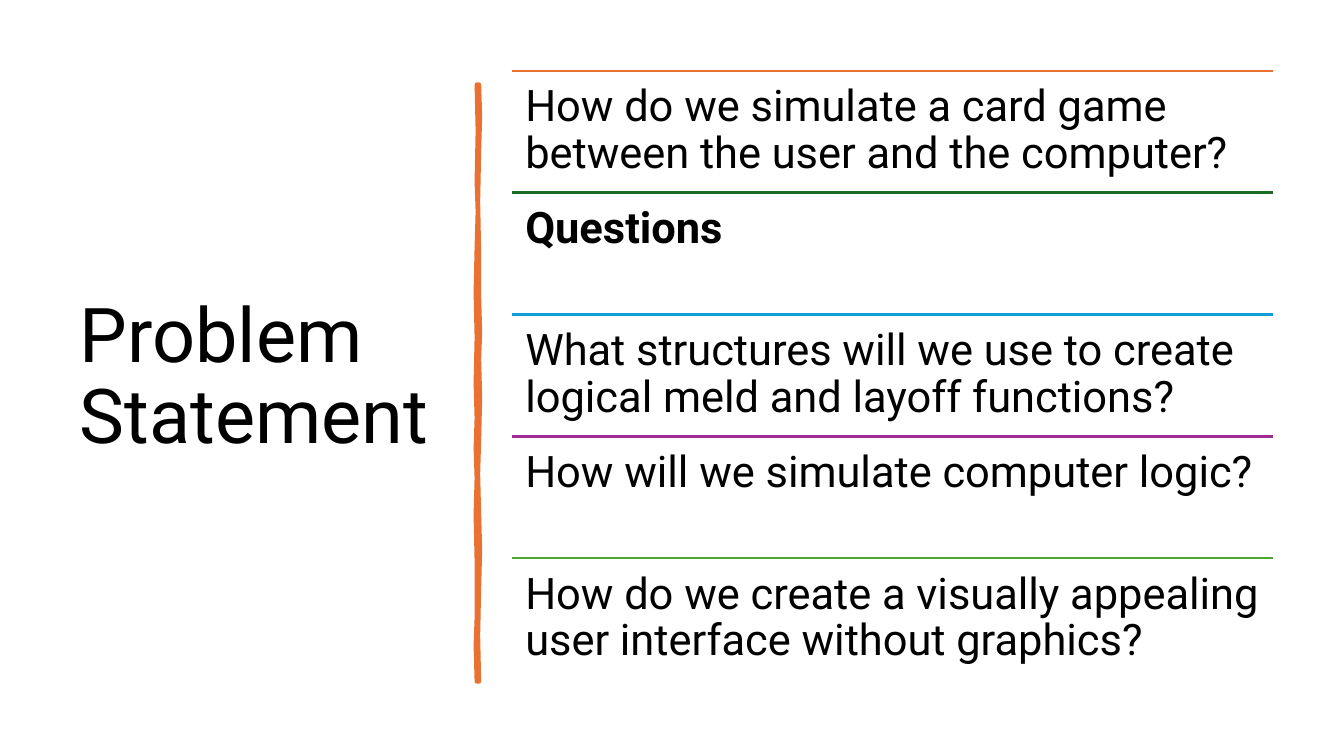
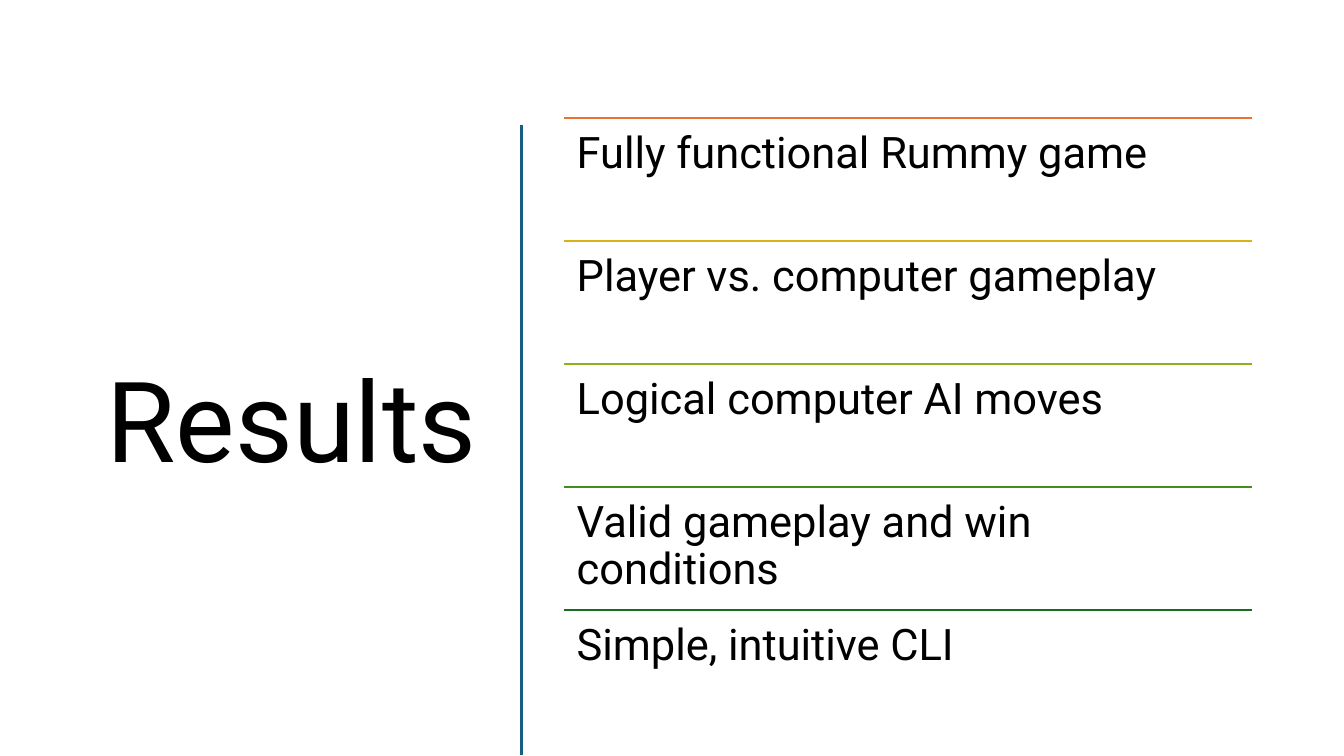
from dataclasses import dataclass

from lxml import etree
from pptx import Presentation
from pptx.dml.color import RGBColor
from pptx.enum.shapes import MSO_CONNECTOR
from pptx.enum.text import MSO_ANCHOR, MSO_AUTO_SIZE, PP_ALIGN
from pptx.oxml.ns import qn
from pptx.util import Inches, Pt

LEFT, RIGHT = PP_ALIGN.LEFT, PP_ALIGN.RIGHT
TOP, MIDDLE = MSO_ANCHOR.TOP, MSO_ANCHOR.MIDDLE
NO_AUTOFIT = MSO_AUTO_SIZE.NONE
STRAIGHT = MSO_CONNECTOR.STRAIGHT

FONT = "Roboto"
BLACK, ORANGE, BLUE, GREEN = "000000", "E97132", "156082", "196B24"
LINE_SPACING = 0.9
ITEM_SIZE = 31
ITEM_INSET = 0.13
TITLE_ONLY = 5

# Right edge downwards, then left edge upwards, in inches
BRUSH_OUTLINE = [
    (4.75, 0.84), (4.76, 1.15), (4.75, 1.5), (4.74, 2.0), (4.75, 2.5),
    (4.75, 2.94), (4.76, 3.3), (4.75, 3.56), (4.76, 3.95), (4.75, 4.36),
    (4.74, 4.7), (4.75, 5.1), (4.76, 5.45), (4.75, 5.84), (4.74, 6.3),
    (4.75, 6.76), (4.73, 6.76), (4.72, 6.4), (4.73, 6.13), (4.73, 5.57),
    (4.72, 5.1), (4.73, 4.74), (4.72, 4.45), (4.73, 4.15), (4.72, 3.8),
    (4.73, 3.35), (4.72, 2.9), (4.73, 2.45), (4.74, 2.1), (4.73, 1.8),
    (4.74, 1.3), (4.73, 0.84),
]


@dataclass(frozen=True)
class Title:
    text: str
    left: float
    top: float
    width: float
    height: float
    size: int
    align: PP_ALIGN


@dataclass(frozen=True)
class Item:
    text: str
    color: str
    bold: bool = False


@dataclass(frozen=True)
class ItemList:
    left: float
    top: float
    width: float
    pitch: float
    items: tuple[Item, ...]


def rgb(color: str) -> RGBColor:
    return RGBColor.from_string(color)


def set_text(shape, text: str, size: int, align: PP_ALIGN = LEFT,
             anchor: MSO_ANCHOR = TOP, bold: bool = False) -> None:
    tf = shape.text_frame
    tf.text = text
    tf.word_wrap = True
    tf.auto_size = NO_AUTOFIT
    tf.vertical_anchor = anchor
    p = tf.paragraphs[0]
    p.alignment = align
    p.line_spacing = LINE_SPACING
    font = p.runs[0].font
    font.name, font.size, font.bold = FONT, Pt(size), bold
    font.color.rgb = rgb(BLACK)


def add_titled_slide(prs, title: Title):
    s = prs.slides.add_slide(prs.slide_layouts[TITLE_ONLY])
    sp = s.shapes.title
    sp.left, sp.top = Inches(title.left), Inches(title.top)
    sp.width, sp.height = Inches(title.width), Inches(title.height)
    set_text(sp, title.text, title.size, title.align, MIDDLE)
    return s


def add_line(s, x1: float, y1: float, x2: float, y2: float,
             color: str, width: float) -> None:
    line = s.shapes.add_connector(
        STRAIGHT, Inches(x1), Inches(y1), Inches(x2), Inches(y2))
    line.line.color.rgb = rgb(color)
    line.line.width = Pt(width)
    etree.SubElement(line._element.spPr, qn("a:effectLst"))


def add_item_list(s, item_list: ItemList) -> None:
    """Stack the items at an equal pitch, each under its own coloured rule."""
    left, width = item_list.left, item_list.width
    for i, item in enumerate(item_list.items):
        top = item_list.top + i * item_list.pitch
        add_line(s, left, top, left + width, top, item.color, 1.5)
        box = s.shapes.add_textbox(
            Inches(left), Inches(top), Inches(width), Inches(item_list.pitch))
        tf = box.text_frame
        tf.margin_left = tf.margin_right = Inches(ITEM_INSET)
        tf.margin_top = tf.margin_bottom = Inches(ITEM_INSET)
        set_text(box, item.text, ITEM_SIZE, bold=item.bold)


def add_brush_stroke(s) -> None:
    points = [(Inches(x), Inches(y)) for x, y in BRUSH_OUTLINE]
    builder = s.shapes.build_freeform(*points[0])
    builder.add_line_segments(points[1:], close=True)
    sp = builder.convert_to_shape()
    sp.shadow.inherit = False
    sp.fill.solid()
    sp.fill.fore_color.rgb = rgb(ORANGE)
    sp.line.color.rgb = rgb(ORANGE)
    sp.line.width = Pt(3.25)
    etree.SubElement(sp._element.spPr.find(qn("a:ln")), qn("a:round"))


def build_problem_slide(prs) -> None:
    s = add_titled_slide(
        prs, Title("Problem Statement", 0.69, 0.7, 3.74, 6.11, 54, LEFT))
    add_brush_stroke(s)
    add_item_list(s, ItemList(5.08, 0.7, 7.55, 1.21, (
        Item("How do we simulate a card game between the user and the computer?",
             ORANGE),
        Item("Questions", GREEN, bold=True),
        Item("What structures will we use to create logical meld and layoff "
             "functions?", "0F9ED5"),
        Item("How will we simulate computer logic?", "A02B93"),
        Item("How do we create a visually appealing user interface without "
             "graphics?", "4EA72E"),
    )))


def build_results_slide(prs) -> None:
    s = add_titled_slide(
        prs, Title("Results", 0.52, 1.17, 4.31, 6.11, 80, RIGHT))
    add_line(s, 5.17, 1.24, 5.17, 7.49, BLUE, 2)
    add_item_list(s, ItemList(5.59, 1.17, 6.83, 1.22, (
        Item("Fully functional Rummy game", ORANGE),
        Item("Player vs. computer gameplay", "D8B11D"),
        Item("Logical computer AI moves", "8EB21E"),
        Item("Valid gameplay and win conditions", "408E1C"),
        Item("Simple, intuitive CLI", GREEN),
    )))


def main() -> None:
    prs = Presentation()
    prs.slide_width, prs.slide_height = Inches(13.33), Inches(7.5)
    build_problem_slide(prs)
    build_results_slide(prs)
    prs.save("out.pptx")


if __name__ == "__main__":
    main()
